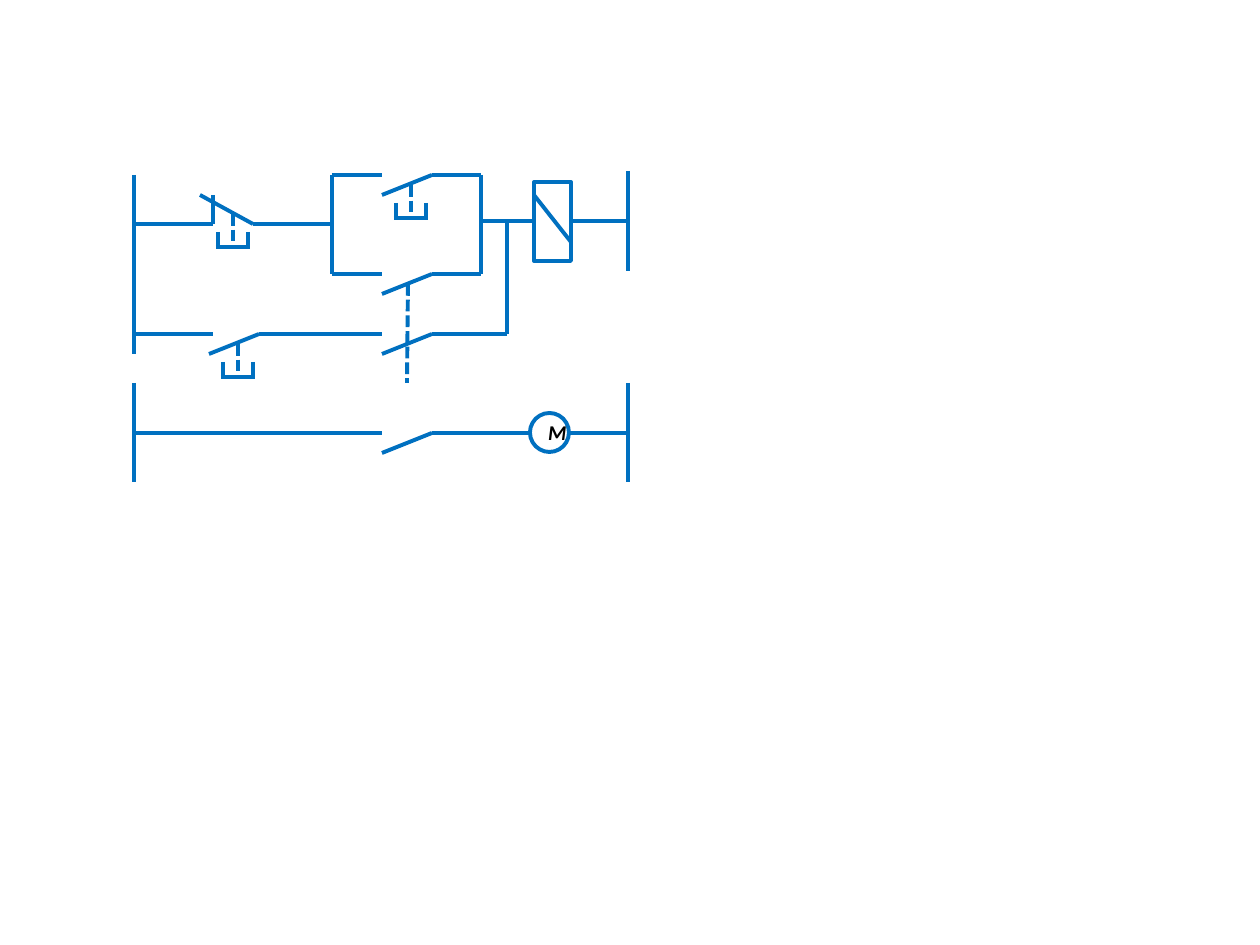
from lxml.etree import SubElement
from pptx import Presentation
from pptx.dml.color import RGBColor
from pptx.enum.dml import MSO_LINE
from pptx.enum.shapes import MSO_CONNECTOR, MSO_SHAPE
from pptx.enum.text import MSO_ANCHOR, PP_ALIGN
from pptx.oxml.ns import qn
from pptx.util import Pt

PX = 914400 / 126
BLUE = RGBColor(0x00, 0x70, 0xC0)
BLACK = RGBColor(0x00, 0x00, 0x00)

# Shared columns, measured from the left rail
CONTACT_IN, CONTACT_OUT, RIGHT_RAIL = 248, 298, 494


def emu(px):
    return round(px * PX)


def style_line(line):
    line.color.rgb = BLUE
    line.width = Pt(2.25)


def add_wire(s, box, x1, y1, x2, y2, dashed=False):
    left, top = box
    wire = s.shapes.add_connector(
        MSO_CONNECTOR.STRAIGHT,
        emu(left + x1), emu(top + y1), emu(left + x2), emu(top + y2))
    style_line(wire.line)
    if dashed:
        wire.line.dash_style = MSO_LINE.SQUARE_DOT
        dash = wire.line._ln.find(qn("a:prstDash"))
        dash.set("val", "sysDash")
    SubElement(wire._element.spPr, qn("a:effectLst"))


def add_wires(s, box, wires):
    for wire in wires:
        add_wire(s, box, *wire)


def add_outline(s, box, kind, x, y, w, h):
    left, top = box
    sp = s.shapes.add_shape(kind, emu(left + x), emu(top + y), emu(w), emu(h))
    sp.shadow.inherit = False
    sp.fill.background()
    style_line(sp.line)
    return sp


def add_open_contact(s, box, x, y):
    """Blade of a normally open contact, hinged at x, y."""
    add_wire(s, box, x, y, x - 50, y + 20)


def add_push_button(s, box, x, y):
    """Dashed stem that ends in a cup; x, y is the top of the stem."""
    base = y + 33
    add_wire(s, box, x, y, x, base, dashed=True)
    add_wire(s, box, x - 17, base, x + 17, base)
    for side in (x - 15, x + 15):
        add_wire(s, box, side, base - 15, side, base)


def add_control_circuit(s, left, top):
    box = left, top
    start_row, stop_row, hold_row, jog_row, coil_row = 0, 49, 99, 159, 46
    branch_in, branch_out, jog_out = 198, 347, 373

    # Rails
    add_wires(s, box, [(0, 0, 0, 179),
                       (RIGHT_RAIL, -4, RIGHT_RAIL, 96)])

    # Stop button, normally closed
    add_wires(s, box, [(0, stop_row, 79, stop_row),
                       (79, 20, 79, stop_row),
                       (66, 20, 119, stop_row),
                       (119, stop_row, branch_in, stop_row)])
    add_push_button(s, box, 99, 39)

    # Parallel start and holding contacts
    for x in (branch_in, branch_out):
        add_wire(s, box, x, start_row, x, hold_row)
    for row in (start_row, hold_row):
        add_wire(s, box, branch_in, row, CONTACT_IN, row)
        add_wire(s, box, CONTACT_OUT, row, branch_out, row)
        add_open_contact(s, box, CONTACT_OUT, row)
    add_push_button(s, box, 277, 10)

    # Relay coil
    add_outline(s, box, MSO_SHAPE.RECTANGLE, 400, 7, 37, 79)
    add_wires(s, box, [(branch_out, coil_row, 400, coil_row),
                       (400, 20, 437, 67),
                       (437, coil_row, RIGHT_RAIL, coil_row)])

    # Lower branch with its own button
    add_wires(s, box, [(0, jog_row, 79, jog_row),
                       (125, jog_row, CONTACT_IN, jog_row),
                       (CONTACT_OUT, jog_row, jog_out, jog_row),
                       (jog_out, coil_row, jog_out, jog_row)])
    for x in (125, CONTACT_OUT):
        add_open_contact(s, box, x, jog_row)
    add_push_button(s, box, 104, 169)

    # Mechanical link between the relay contacts
    add_wire(s, box, 274, 109, 273, 208, dashed=True)


def add_motor_circuit(s, left, top):
    box = left, top
    row = 50
    for x in (0, RIGHT_RAIL):
        add_wire(s, box, x, 0, x, 99)
    add_wires(s, box, [(0, row, CONTACT_IN, row),
                       (CONTACT_OUT, row, 395, row),
                       (435, row, RIGHT_RAIL, row)])
    add_open_contact(s, box, CONTACT_OUT, row)

    # Motor
    motor = add_outline(s, box, MSO_SHAPE.OVAL, 396, 30, 39, 39)
    tf = motor.text_frame
    tf.word_wrap = True
    tf.vertical_anchor = MSO_ANCHOR.MIDDLE
    p = tf.paragraphs[0]
    p.alignment = PP_ALIGN.CENTER
    r = p.add_run()
    r.text = "M"
    r.font.name = "Calibri"
    r.font.size = Pt(12)
    r.font.bold = True
    r.font.italic = True
    r.font.color.rgb = BLACK


def main():
    prs = Presentation()
    prs.slide_width, prs.slide_height = emu(1260), emu(945)
    s = prs.slides.add_slide(prs.slide_layouts[6])
    add_control_circuit(s, 134, 175)
    add_motor_circuit(s, 134, 383)
    prs.save("out.pptx")


if __name__ == "__main__":
    main()
